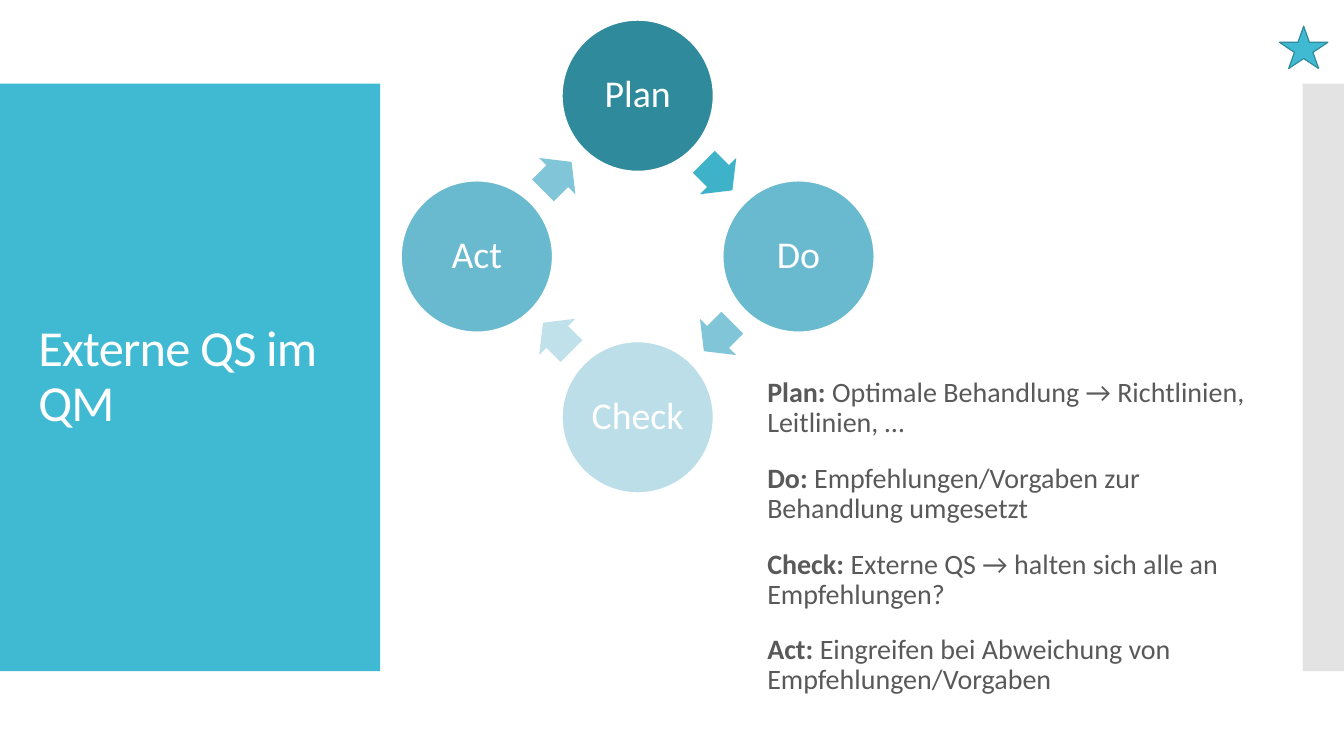
import math

import pptx
import pptx.dml.color
import pptx.enum.shapes
import pptx.enum.text
import pptx.oxml.ns
import pptx.util
from lxml import etree

Inches = pptx.util.Inches
RGBColor = pptx.dml.color.RGBColor
Shape = pptx.enum.shapes.MSO_SHAPE
Align = pptx.enum.text.PP_ALIGN

WHITE = RGBColor(0xFF, 0xFF, 0xFF)
GRAY_BAND = RGBColor(0xC8, 0xC8, 0xC8)
TEXT_GRAY = RGBColor(0x59, 0x59, 0x59)
TURQUOISE = RGBColor(0x40, 0xBA, 0xD2)
DARK_TEAL = RGBColor(0x2F, 0x8A, 0x9B)
MID_TEAL = RGBColor(0x69, 0xBA, 0xCE)
PALE_TEAL = RGBColor(0xBC, 0xDE, 0xE8)
ARROW_STRONG = RGBColor(0x3D, 0xB2, 0xC9)
ARROW_MID = RGBColor(0x80, 0xC6, 0xD8)
ARROW_PALE = RGBColor(0xC0, 0xE0, 0xEA)

# Clockwise from the top: label, circle colour, colour of the arrow that follows
PHASES = [
    ("Plan", DARK_TEAL, ARROW_STRONG),
    ("Do", MID_TEAL, ARROW_MID),
    ("Check", PALE_TEAL, ARROW_PALE),
    ("Act", MID_TEAL, ARROW_MID),
]
EXPLANATIONS = [
    ("Plan:", " Optimale Behandlung → Richtlinien, Leitlinien, …"),
    ("Do:", " Empfehlungen/Vorgaben zur Behandlung umgesetzt"),
    ("Check:", " Externe QS → halten sich alle an Empfehlungen?"),
    ("Act:", " Eingreifen bei Abweichung von Empfehlungen/Vorgaben"),
]


def write_text(para, text, size, color, bold=False, align=Align.LEFT, spacing=None):
    para.alignment = align
    para.line_spacing = 0.9
    span = para.add_run()
    span.text = text
    span.font.name = "Calibri"
    span.font.size = pptx.util.Pt(size)
    span.font.bold = bold
    span.font.color.rgb = color
    if spacing is not None:
        span.font._element.set("spc", str(round(spacing * 100)))


def add_filled(slide, kind, box, fill, line=None):
    shape = slide.shapes.add_shape(kind, *map(Inches, box))
    shape.shadow.inherit = False
    shape.fill.solid()
    shape.fill.fore_color.rgb = fill
    if line is None:
        shape.line.fill.background()
    else:
        shape.line.color.rgb = line
        shape.line.width = pptx.util.Pt(0.85)
    return shape


def place_frame(placeholder, box):
    """Move a placeholder to the box and return its middle-anchored text frame."""
    placeholder.left, placeholder.top, placeholder.width, placeholder.height = map(Inches, box)
    frame = placeholder.text_frame
    frame.word_wrap = True
    frame.auto_size = pptx.enum.text.MSO_AUTO_SIZE.NONE
    frame.vertical_anchor = pptx.enum.text.MSO_ANCHOR.MIDDLE
    return frame


def add_title_panel(slide, box):
    left, top, width, height = box
    panel = add_filled(slide, Shape.RECTANGLE, box, TURQUOISE)
    title = slide.shapes.title
    title._element.addprevious(panel._element)
    frame = place_frame(title, (left + 0.28, top + 0.4, width - 0.55, height - 0.8))
    write_text(frame.paragraphs[0], "Externe QS im QM", 36, WHITE, spacing=-0.6)


def add_side_band(slide, box):
    band = add_filled(slide, Shape.RECTANGLE, box, GRAY_BAND)
    color = band._element.spPr.find(".//" + pptx.oxml.ns.qn("a:srgbClr"))
    etree.SubElement(color, pptx.oxml.ns.qn("a:alpha"), val="50000")


def add_explanations(slide, box):
    frame = place_frame(slide.placeholders[1], box)
    for index, (term, meaning) in enumerate(EXPLANATIONS):
        para = frame.paragraphs[0] if index == 0 else frame.add_paragraph()
        para.space_before = pptx.util.Pt(12)
        para.space_after = pptx.util.Pt(6)
        write_text(para, term, 20, TEXT_GRAY, bold=True)
        write_text(para, meaning, 20, TEXT_GRAY)
        properties = para._p.get_or_add_pPr()
        properties.set("marL", "0")
        properties.set("indent", "0")
        etree.SubElement(properties, pptx.oxml.ns.qn("a:buNone"))


def add_cycle(slide, box):
    """Set the phases on a ring inside the square box, with arrows between them."""
    left, top, side = box
    diameter, arrow_width, arrow_height = 1.5, 0.4, 0.51
    radius = (side - diameter) / 2
    arrow_radius = radius / math.sqrt(2)

    def ring_box(angle, distance, width, height):
        x = left + side / 2 + distance * math.sin(math.radians(angle))
        y = top + side / 2 - distance * math.cos(math.radians(angle))
        return x - width / 2, y - height / 2, width, height

    for index, (label, fill, arrow_fill) in enumerate(PHASES):
        angle = index * 90
        circle = add_filled(slide, Shape.OVAL, ring_box(angle, radius, diameter, diameter),
                            fill, WHITE)
        frame = circle.text_frame
        frame.margin_left = frame.margin_right = Inches(0.04)
        frame.margin_top = frame.margin_bottom = Inches(0.04)
        frame.word_wrap = False
        frame.vertical_anchor = pptx.enum.text.MSO_ANCHOR.MIDDLE
        write_text(frame.paragraphs[0], label, 27, WHITE, align=Align.CENTER)

        arrow = add_filled(slide, Shape.RIGHT_ARROW,
                           ring_box(angle + 45, arrow_radius, arrow_width, arrow_height),
                           arrow_fill)
        arrow.adjustments[0] = 0.6
        arrow.adjustments[1] = 0.5
        arrow.rotation = angle + 45


def main():
    deck = pptx.Presentation()
    deck.slide_width = Inches(13.33)
    deck.slide_height = Inches(7.5)
    slide = deck.slides.add_slide(deck.slide_layouts[1])
    add_title_panel(slide, (0, 0.83, 3.77, 5.83))
    add_side_band(slide, (12.92, 0.83, 0.41, 5.83))
    add_explanations(slide, (7.51, 3.13, 5.27, 4.4))
    add_cycle(slide, (3.98, 0.2, 4.69))
    add_filled(slide, Shape.STAR_5_POINT, (12.69, 0.26, 0.48, 0.42), TURQUOISE, DARK_TEAL)
    deck.save("out.pptx")


if __name__ == "__main__":
    main()
